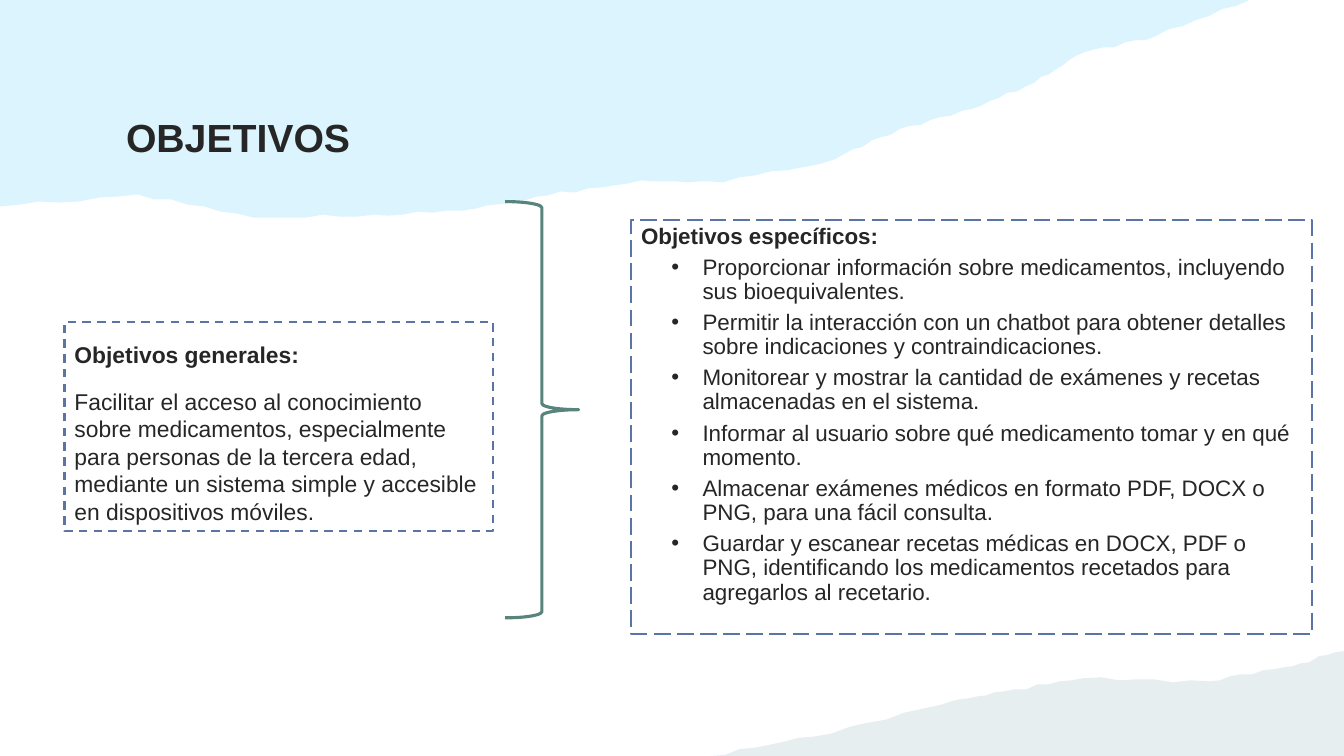
from itertools import pairwise
from math import sin
from lxml import etree
from pptx import Presentation
from pptx.dml.color import RGBColor
from pptx.enum.dml import MSO_LINE
from pptx.enum.shapes import MSO_SHAPE
from pptx.enum.text import MSO_ANCHOR, PP_ALIGN
from pptx.oxml.ns import qn
from pptx.util import Inches, Pt

RECTANGLE, BRACE = MSO_SHAPE.RECTANGLE, MSO_SHAPE.RIGHT_BRACE
DASH, LONG_DASH = MSO_LINE.DASH, MSO_LINE.LONG_DASH
LEFT, TOP, MIDDLE = PP_ALIGN.LEFT, MSO_ANCHOR.TOP, MSO_ANCHOR.MIDDLE

COLORS = {key: RGBColor.from_string(value) for key, value in {
    "sky": "DBF4FD", "mist": "E6EEF0", "text": "262626",
    "border": "5A75A5", "brace": "59847C"}.items()}

CELL = Inches(0.01)
COLS, ROWS = 1333, 750
BULLET_COL, BULLET_TEXT_COL = 30, 61
TEAR_STEPS, TEAR_DEPTH = 7, 1.5

STYLES = {
    "title": {"size": 28, "bold": True, "spacing": 1.1, "before": 0},
    "general heading": {"size": 16.3, "bold": True, "spacing": 1.0, "before": 0},
    "general": {"size": 16.3, "bold": False, "spacing": 1.0, "before": 14},
    "specific heading": {"size": 16, "bold": True, "spacing": 0.9, "before": 0},
    "specific": {"size": 16, "bold": False, "spacing": 0.9, "before": 5},
}

PAPERS = [
    {"tone": "sky", "corner": (0, 0),
     "bends": [(1239, 0), (1146, 36), (1075, 52), (1026, 82), (964, 108),
               (892, 128), (828, 158), (717, 181), (636, 179), (543, 194),
               (472, 207), (371, 213), (252, 216), (137, 193), (0, 205)]},
    {"tone": "mist", "corner": (COLS, ROWS),
     "bends": [(705, 750), (806, 731), (934, 699), (995, 686), (1074, 673),
               (1199, 676), (1274, 662), (1333, 646)]},
]

PANELS = [
    {"place": (64, 319, 425, 208), "dash": DASH, "top_inset": 19, "lines": [
        ("general heading", "Objetivos generales:"),
        ("general", "Facilitar el acceso al conocimiento sobre medicamentos, especialmente para personas de la tercera edad, mediante un sistema simple y accesible en dispositivos móviles."),
    ]},
    {"place": (626, 218, 675, 411), "dash": LONG_DASH, "top_inset": 5, "lines": [
        ("specific heading", "Objetivos específicos:"),
        ("specific", "Proporcionar información sobre medicamentos, incluyendo sus bioequivalentes."),
        ("specific", "Permitir la interacción con un chatbot para obtener detalles sobre indicaciones y contraindicaciones."),
        ("specific", "Monitorear y mostrar la cantidad de exámenes y recetas almacenadas en el sistema."),
        ("specific", "Informar al usuario sobre qué medicamento tomar y en qué momento."),
        ("specific", "Almacenar exámenes médicos en formato PDF, DOCX o PNG, para una fácil consulta."),
        ("specific", "Guardar y escanear recetas médicas en DOCX, PDF o PNG, identificando los medicamentos recetados para agregarlos al recetario."),
    ]},
]
BRACE_PLACE = (501, 200, 73, 413)


def write(paragraph, style_name, text):
    style = STYLES[style_name]
    paragraph.text = text
    if style_name == "specific":
        props = paragraph._p.get_or_add_pPr()
        props.set("marL", str(BULLET_TEXT_COL * CELL))
        props.set("indent", str((BULLET_COL - BULLET_TEXT_COL) * CELL))
        etree.SubElement(props, qn("a:buFont")).set("typeface", "Arial")
        etree.SubElement(props, qn("a:buChar")).set("char", "•")
    for name, value in {"alignment": LEFT, "line_spacing": style["spacing"],
                        "space_before": Pt(style["before"]),
                        "space_after": Pt(0)}.items():
        setattr(paragraph, name, value)
    font = paragraph.runs[0].font
    for name, value in {"name": "Arial", "size": Pt(style["size"]),
                        "bold": style["bold"]}.items():
        setattr(font, name, value)
    font.color.rgb = COLORS["text"]


def torn_edge(bends):
    edge = [bends[0]]
    for (x1, y1), (x2, y2) in pairwise(bends):
        for step in range(1, TEAR_STEPS):
            share = step / TEAR_STEPS
            ripple = TEAR_DEPTH * sin(len(edge) ** 2)
            edge.append((x1 + (x2 - x1) * share, y1 + (y2 - y1) * share + ripple))
        edge.append((x2, y2))
    return edge


prs = Presentation()
prs.slide_width, prs.slide_height = COLS * CELL, ROWS * CELL
slide = prs.slides.add_slide(prs.slide_layouts[5])

title = slide.shapes.title
for name, value in {"left": 115, "top": 67, "width": 1073, "height": 133}.items():
    setattr(title, name, value * CELL)
title.text_frame.vertical_anchor = MIDDLE
write(title.text_frame.paragraphs[0], "title", "OBJETIVOS")

for paper in PAPERS:
    outline = slide.shapes.build_freeform(*paper["corner"], scale=CELL)
    outline.add_line_segments(torn_edge(paper["bends"]), close=True)
    sheet = outline.convert_to_shape()
    sheet.shadow.inherit = False
    sheet.fill.solid()
    sheet.fill.fore_color.rgb = COLORS[paper["tone"]]
    sheet.line.fill.background()
    title.element.addprevious(sheet.element)

for panel in PANELS:
    box = slide.shapes.add_shape(RECTANGLE, *[n * CELL for n in panel["place"]])
    box.shadow.inherit = False
    box.fill.background()
    box.line.color.rgb = COLORS["border"]
    box.line.width = Pt(1.5)
    box.line.dash_style = panel["dash"]
    frame = box.text_frame
    for name, value in {"word_wrap": True, "vertical_anchor": TOP,
                        "margin_top": panel["top_inset"] * CELL}.items():
        setattr(frame, name, value)
    for i, (style_name, text) in enumerate(panel["lines"]):
        paragraph = frame.add_paragraph() if i else frame.paragraphs[0]
        write(paragraph, style_name, text)

brace = slide.shapes.add_shape(BRACE, *[n * CELL for n in BRACE_PLACE])
brace.shadow.inherit = False
brace.fill.background()
brace.line.color.rgb = COLORS["brace"]
brace.line.width = Pt(2.25)

prs.save("out.pptx")
